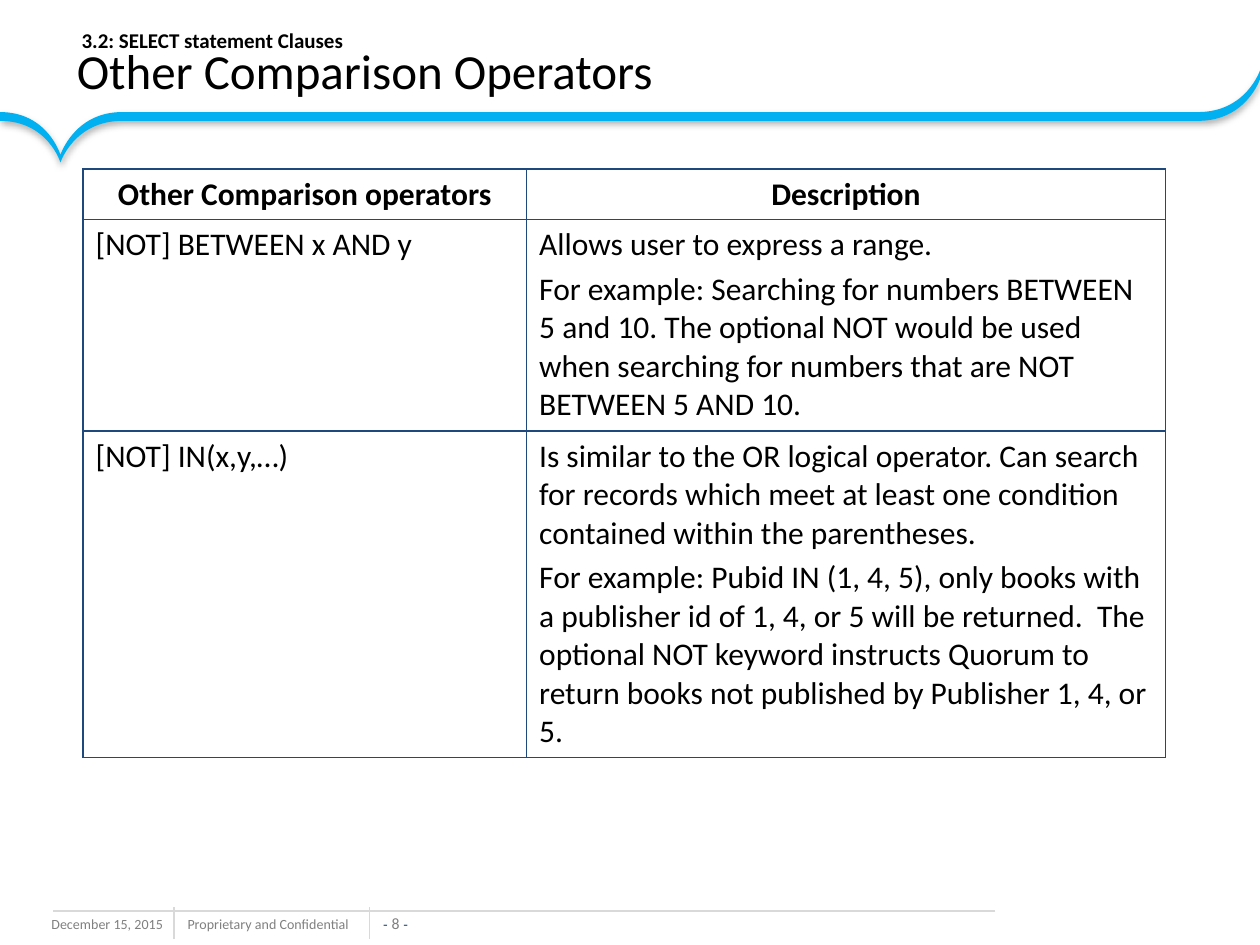
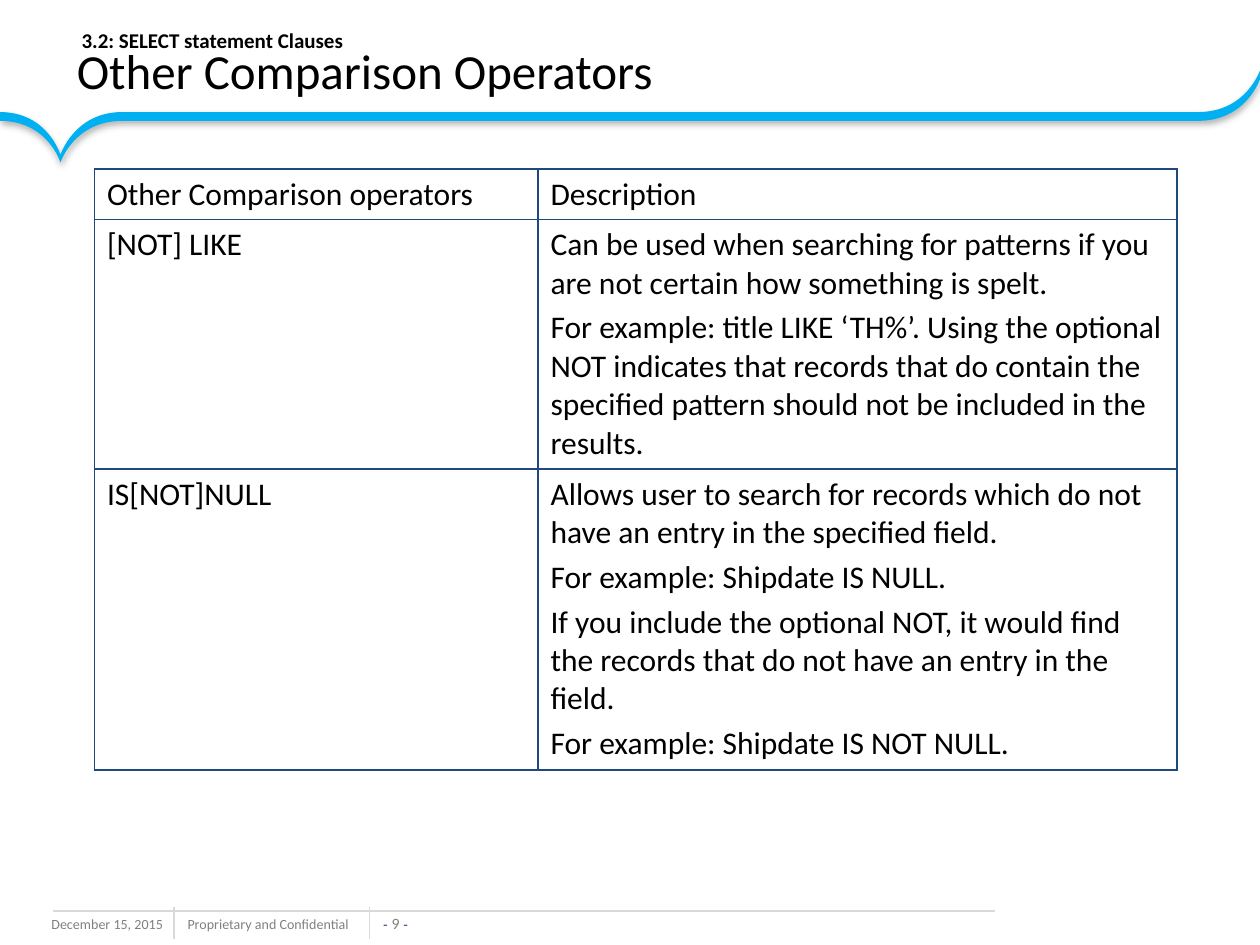
from pptx import Presentation
from pptx.dml.color import RGBColor
from pptx.enum.shapes import MSO_CONNECTOR
from pptx.enum.text import MSO_ANCHOR, MSO_AUTO_SIZE, PP_ALIGN
from pptx.oxml import parse_xml
from pptx.oxml.ns import nsdecls, qn
from pptx.util import Inches, Pt

HUES = {"text": "000000", "grey": "808080", "rule": "D9D9D9",
        "navy": "1F497D", "band": "00B0F0"}

# Text styles
HEAD = {"name": "Calibri", "size": Pt(28), "bold": False, "hue": "text"}
TAG = {**HEAD, "size": Pt(12), "bold": True}
BODY = {**HEAD, "size": Pt(18)}
BOLD = {**BODY, "bold": True}
FOOT = {**HEAD, "size": Pt(8), "hue": "grey"}
PAGE = {**FOOT, "size": Pt(9)}
DASH = {**FOOT, "name": "Arial", "hue": "navy"}
PLAIN = {"margin_left": 0, "margin_top": 0, "margin_right": 0,
         "margin_bottom": 0, "vertical_anchor": MSO_ANCHOR.BOTTOM}

# Boxes: left, top, width, height
BAND = (0, 0.56, 10, 0.73)
BASE = (0.31, 7.2, 7.59, 0.27)
COLS = (3.52, 5.07)

# Band outline: start, then two control points and an end for each curve
START = (9.51, 0.33)
CURVES = [((0.97, 0.33), (0.97, 0.33), (0.97, 0.33)),
          ((0.59, 0.33), (0.48, 0.67), (0.48, 0.67)),
          ((0.48, 0.67), (0.38, 0.33), (0, 0.33)),
          ((0, 0.4), (0, 0.4), (0, 0.4)),
          ((0.38, 0.4), (0.48, 0.73), (0.48, 0.73)),
          ((0.48, 0.73), (0.59, 0.4), (0.97, 0.4)),
          ((9.51, 0.4), (9.51, 0.4), (9.51, 0.4)),
          ((9.89, 0.4), (10, 0.07), (10, 0.07)),
          ((10, 0), (10, 0), (10, 0)),
          ((10, 0), (9.89, 0.33), START)]


def apply(item, form):
    for key, val in form.items():
        if key == "hue":
            item.color.rgb = RGBColor.from_string(HUES[val])
        else:
            setattr(item, key, val)


def write(para, text, form):
    run = para.add_run()
    run.text = text
    apply(run.font, form)


def place(shape, box):
    sides = ("left", "top", "width", "height")
    apply(shape, {side: Inches(val) for side, val in zip(sides, box)})


def label(slide, box, runs, form):
    shape = slide.shapes.add_textbox(*map(Inches, box))
    apply(shape.text_frame, form)
    for text, font in runs:
        write(shape.text_frame.paragraphs[0], text, font)
    return shape.text_frame.paragraphs[0]


def rule(slide, *ends):
    line = slide.shapes.add_connector(MSO_CONNECTOR.STRAIGHT,
                                      *map(Inches, ends))
    apply(line.line, {"hue": "rule", "width": Pt(0.75)})
    line._element.spPr.append(parse_xml(f"<a:effectLst {nsdecls('a')}/>"))


def band(slide, box):
    left, top = box[:2]
    dots = [(Inches(left + x), Inches(top + y))
            for x, y in [START] + [ends[-1] for ends in CURVES]]
    pen = slide.shapes.build_freeform(*dots[0])
    pen.add_line_segments(dots[1:], close=True)
    shape = pen.convert_to_shape()
    # Turn the straight sides into curves
    sides = list(shape._element.iter(qn("a:lnTo")))
    for side, ends in zip(sides, CURVES):
        pts = "".join(f'<a:pt x="{Inches(x)}" y="{Inches(y)}"/>'
                      for x, y in ends)
        side.getparent().replace(side, parse_xml(
            f'<a:cubicBezTo {nsdecls("a")}>{pts}</a:cubicBezTo>'))
    shape.fill.solid()
    shape.fill.fore_color.rgb = RGBColor.from_string(HUES["band"])
    shape.line.fill.background()
    shape._element.spPr.append(parse_xml(
        f'<a:effectLst {nsdecls("a")}><a:outerShdw blurRad="{Pt(4)}" '
        f'dist="{Pt(2)}" dir="5400000" rotWithShape="0">'
        f'<a:srgbClr val="{HUES["text"]}"><a:alpha val="31000"/></a:srgbClr>'
        '</a:outerShdw></a:effectLst>'))


def footer(slide, box, num):
    left, top, width, _ = box
    label(slide, (left, top + 0.02, 1.33, 0.25),
          [("December 15, 2015", FOOT)], {"word_wrap": True})
    label(slide, (left + 1.08, top + 0.02, 1.57, 0.24),
          [("Proprietary and Confidential ", FOOT)], {"word_wrap": False})
    page = label(slide, (left + 2.7, top + 0.05, 0.26, 0.15),
                 [("- ", DASH), (f"{num} ", PAGE), ("-", DASH)],
                 {**PLAIN, "word_wrap": False})
    page.alignment = PP_ALIGN.CENTER
    for gap in (1.07, 2.62):
        rule(slide, left + gap, top, left + gap, top + 0.25)
    rule(slide, left + width, top + 0.03, left + 0.11, top + 0.03)


def title(slide, box):
    shape = slide.shapes.title
    place(shape, box)
    apply(shape.text_frame, {"vertical_anchor": MSO_ANCHOR.MIDDLE,
                             "auto_size": MSO_AUTO_SIZE.NONE,
                             "word_wrap": True})
    para = shape.text_frame.paragraphs[0]
    apply(para, {"alignment": PP_ALIGN.LEFT, "line_spacing": 0.8})
    write(para, " 3.2: SELECT statement Clauses ", TAG)
    para.add_line_break()
    write(para, "Other Comparison Operators ", HEAD)


def border(cell):
    props = cell._tc.get_or_add_tcPr()
    for side in "LRTB":
        props.append(parse_xml(
            f'<a:ln{side} {nsdecls("a")} w="{Pt(1)}"><a:solidFill>'
            f'<a:srgbClr val="{HUES["navy"]}"/></a:solidFill></a:ln{side}>'))


def grid(slide, box, highs, rows, strong):
    frame = slide.shapes.add_table(len(rows), len(COLS), *map(Inches, box))
    table = frame.table
    apply(table, {"first_row": False, "horz_banding": False})
    for col, width in zip(table.columns, COLS):
        col.width = Inches(width)
    for row, high in zip(table.rows, highs):
        row.height = Inches(high)
    for r, row in enumerate(rows):
        head = strong and r == 0
        for c, texts in enumerate(row):
            cell = table.cell(r, c)
            border(cell)
            cell.fill.background()
            for i, text in enumerate(texts):
                body = cell.text_frame
                para = body.add_paragraph() if i else body.paragraphs[0]
                side = PP_ALIGN.CENTER if head else PP_ALIGN.LEFT
                apply(para, {"alignment": side, "space_before": Pt(3.6)})
                write(para, text, BOLD if head else BODY)


# Slide content
NAMES = (["Other Comparison operators"], ["Description"])
RANGE = [
    NAMES,
    (["[NOT] BETWEEN x AND y"],
     ["Allows user to express a range. ",
      "For example: Searching for numbers BETWEEN 5 and 10. The optional NOT "
      "would be used when searching for numbers that are NOT BETWEEN 5 AND "
      "10."]),
    (["[NOT] IN(x,y,…)"],
     ["Is similar to the OR logical operator. Can search for records which "
      "meet at least one condition contained within the parentheses. ",
      "For example: Pubid IN (1, 4, 5), only books with a publisher id of 1, "
      "4, or 5 will be returned.  The optional NOT keyword instructs Quorum "
      "to return books not published by Publisher 1, 4, or 5."]),
]
MATCH = [
    NAMES,
    (["[NOT] LIKE"],
     ["Can be used when searching for patterns if you are not certain how "
      "something is spelt.",
      "For example: title LIKE ‘TH%’. Using the optional NOT indicates that "
      "records that do contain the specified pattern should not be included "
      "in the results."]),
    (["IS[NOT]NULL"],
     ["Allows user to search for records which do not have an entry in the "
      "specified field.",
      "For example: Shipdate IS NULL. ",
      "If you include the optional NOT, it would find the records that do "
      "not have an entry in the field. ",
      "For example: Shipdate IS NOT NULL."]),
]
# Page number, title width, table left, row heights, rows, bold header
PAGES = [(8, 9.75, 0.66, (0.4, 1.68, 2.59), RANGE, True),
         (9, 9, 0.75, (0.4, 1.98, 2.39), MATCH, False)]

deck = Presentation()
apply(deck, {"slide_width": Inches(10), "slide_height": Inches(7.5)})
for num, width, left, highs, rows, strong in PAGES:
    slide = deck.slides.add_slide(deck.slide_layouts.get_by_name("Title Only"))
    footer(slide, BASE, num)
    band(slide, BAND)
    title(slide, (0.51, 0.13, width, 0.78))
    grid(slide, (left, 1.34, sum(COLS), sum(highs)), highs, rows, strong)
deck.save("out.pptx")
